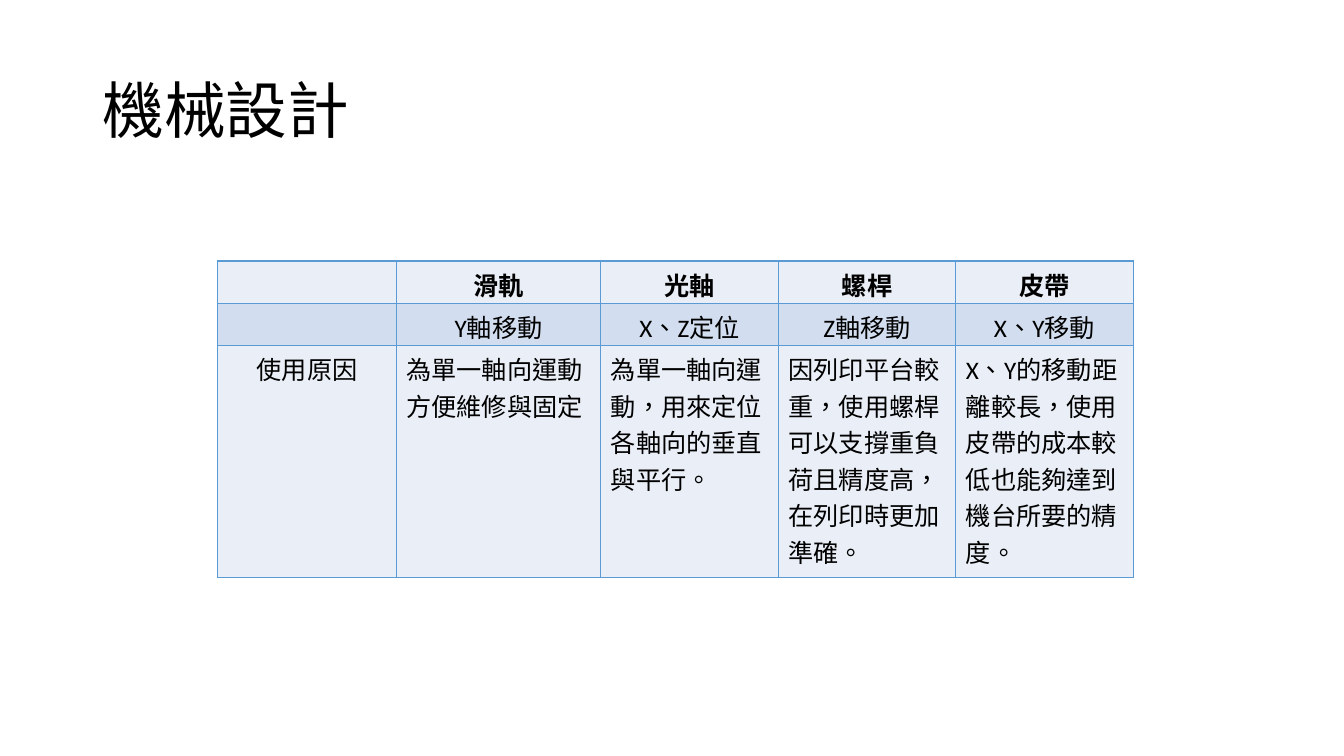
from dataclasses import dataclass

from lxml import etree
from pptx import Presentation
from pptx.dml.color import RGBColor
from pptx.enum.lang import MSO_LANGUAGE_ID
from pptx.enum.text import MSO_ANCHOR, PP_ALIGN
from pptx.oxml.ns import qn
from pptx.slide import Slide
from pptx.table import _Cell
from pptx.text.text import _Paragraph
from pptx.util import Inches, Pt

LEFT = PP_ALIGN.LEFT
CENTER = PP_ALIGN.CENTER
MIDDLE = MSO_ANCHOR.MIDDLE
CHINESE = MSO_LANGUAGE_ID.TRADITIONAL_CHINESE
BLANK_LAYOUT = 6


@dataclass(frozen=True)
class Theme:
    font: str = "Calibri"
    text: str = "000000"
    border: str = "5B9BD5"
    light_band: str = "EAEFF7"
    dark_band: str = "D2DEEF"
    title_size: int = 44
    table_size: int = 18
    border_width: int = 1


@dataclass(frozen=True)
class TableRow:
    height: float
    fill: str
    cells: tuple[str, ...]
    bold: bool = False
    body_align: PP_ALIGN = CENTER


THEME = Theme()
COLUMN_WIDTHS = (1.77, 2.03, 1.76, 1.76, 1.76)
ROWS = (
    TableRow(0.42, THEME.light_band, ("", "滑軌", "光軸", "螺桿", "皮帶"), bold=True),
    TableRow(0.42, THEME.dark_band,
             ("", "Y軸移動", "X、Z定位", "Z軸移動", "X、Y移動")),
    TableRow(2.3, THEME.light_band, (
        "使用原因",
        "為單一軸向運動\n方便維修與固定",
        "為單一軸向運動，用來定位各軸向的垂直與平行。",
        "因列印平台較重，使用螺桿可以支撐重負荷且精度高，在列印時更加準確。",
        "X、Y的移動距離較長，使用皮帶的成本較低也能夠達到機台所要的精度。",
    ), body_align=LEFT),
)


def add_run(paragraph: _Paragraph, text: str, size: int, bold: bool = False) -> None:
    run = paragraph.add_run()
    run.text = text
    run.font.name = THEME.font
    run.font.size = Pt(size)
    run.font.bold = bold
    run.font.color.rgb = RGBColor.from_string(THEME.text)
    run.font.language_id = CHINESE


def add_title(slide: Slide, text: str) -> None:
    title = slide.shapes.add_textbox(Inches(0.92), Inches(0.4), Inches(11.5), Inches(1.45))
    frame = title.text_frame
    frame.word_wrap = True
    frame.vertical_anchor = MIDDLE
    paragraph = frame.paragraphs[0]
    paragraph.line_spacing = 0.9
    add_run(paragraph, text, THEME.title_size)


def add_borders(cell: _Cell) -> None:
    properties = cell._tc.get_or_add_tcPr()
    for side in ("a:lnL", "a:lnR", "a:lnT", "a:lnB"):
        line = etree.SubElement(properties, qn(side), w=str(Pt(THEME.border_width)))
        fill = etree.SubElement(line, qn("a:solidFill"))
        etree.SubElement(fill, qn("a:srgbClr"), val=THEME.border)


def fill_cell(cell: _Cell, text: str, row: TableRow, align: PP_ALIGN) -> None:
    add_borders(cell)
    cell.fill.solid()
    cell.fill.fore_color.rgb = RGBColor.from_string(row.fill)
    frame = cell.text_frame
    for index, line in enumerate(text.splitlines()):
        paragraph = frame.add_paragraph() if index else frame.paragraphs[0]
        paragraph.alignment = align
        add_run(paragraph, line, THEME.table_size, row.bold)


def add_parts_table(slide: Slide) -> None:
    table = slide.shapes.add_table(
        len(ROWS), len(COLUMN_WIDTHS), Inches(2.16), Inches(2.59),
        Inches(sum(COLUMN_WIDTHS)), Inches(sum(row.height for row in ROWS)),
    ).table
    table.first_row = False
    table.horz_banding = False
    for column, width in zip(table.columns, COLUMN_WIDTHS):
        column.width = Inches(width)
    for row_index, row in enumerate(ROWS):
        table.rows[row_index].height = Inches(row.height)
        for column_index, text in enumerate(row.cells):
            align = row.body_align if column_index else CENTER
            fill_cell(table.cell(row_index, column_index), text, row, align)


def main() -> None:
    presentation = Presentation()
    presentation.slide_width = Inches(13.33)
    presentation.slide_height = Inches(7.5)
    slide = presentation.slides.add_slide(presentation.slide_layouts[BLANK_LAYOUT])
    add_title(slide, "機械設計")
    add_parts_table(slide)
    presentation.save("out.pptx")


if __name__ == "__main__":
    main()
